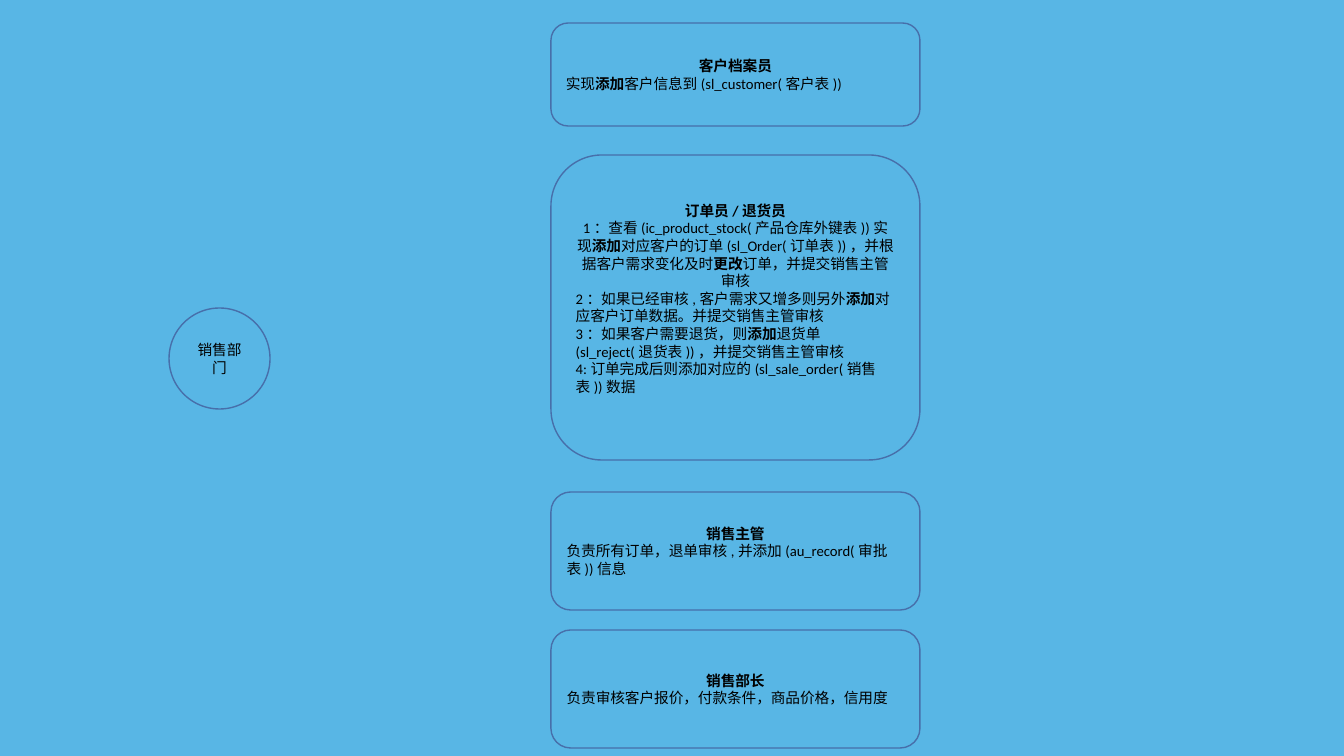
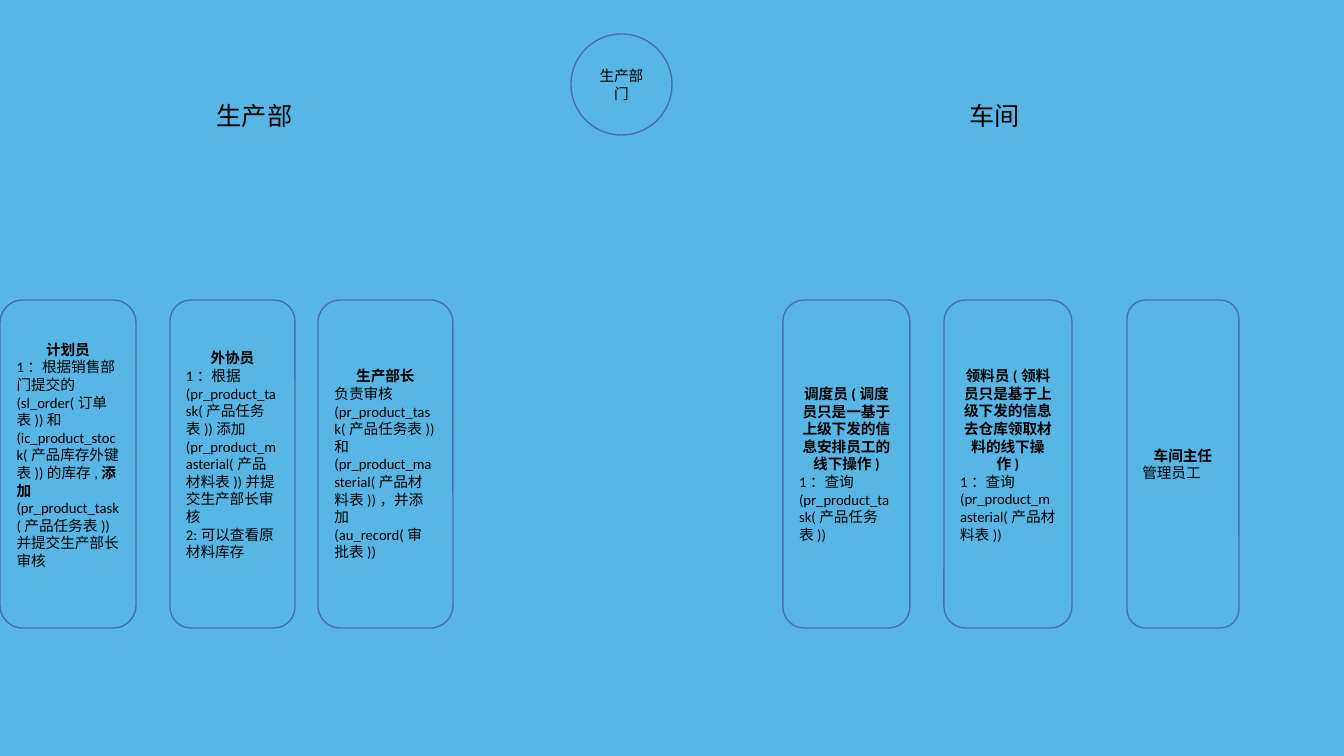
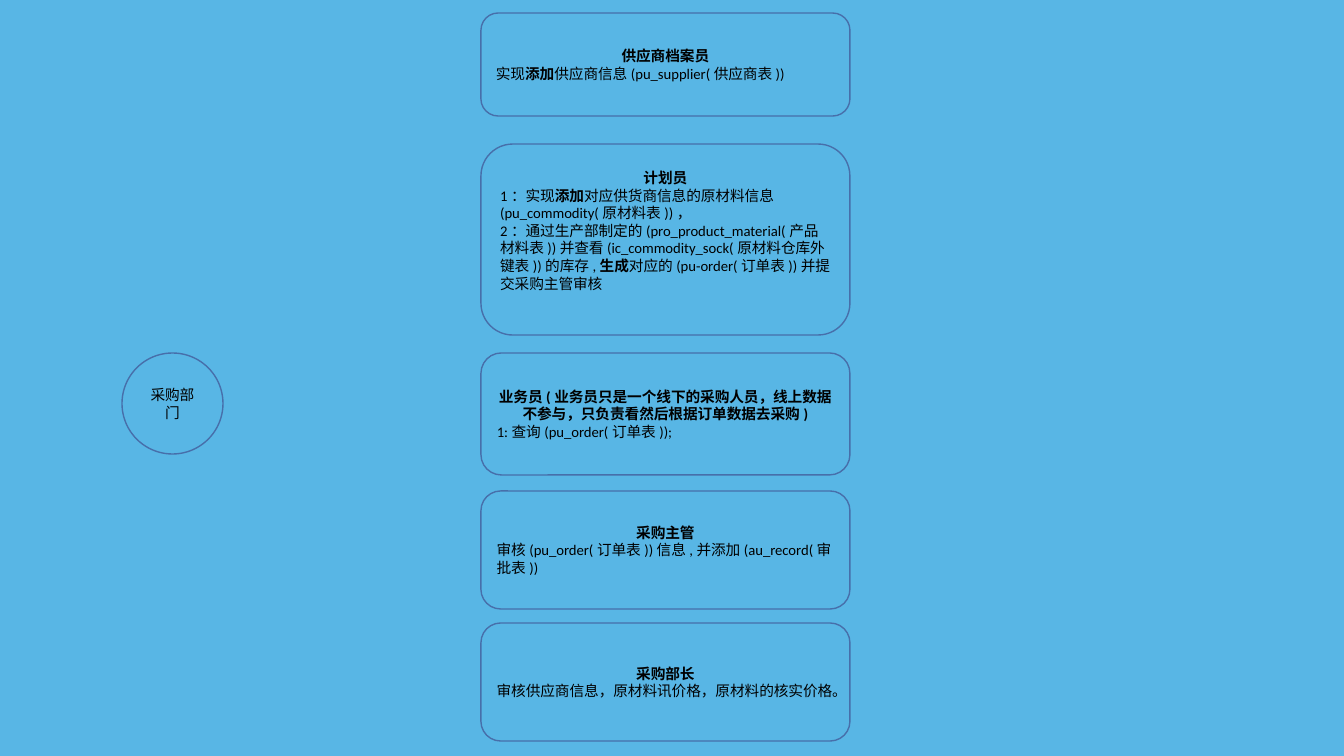
from dataclasses import dataclass, field

from pptx import Presentation
from pptx.dml.color import RGBColor
from pptx.enum.shapes import MSO_SHAPE as Geo
from pptx.enum.text import MSO_ANCHOR as Anchor, MSO_AUTO_SIZE as AutoSize, PP_ALIGN as Align
from pptx.util import Emu, Pt

SLIDE_W, SLIDE_H = 1344, 756
EMU_PER_PX = 12192000 / SLIDE_W


@dataclass(frozen=True)
class Theme:
    back: RGBColor = RGBColor(0x58, 0xB6, 0xE5)
    outline: RGBColor = RGBColor(0x47, 0x6F, 0xAA)
    ink: RGBColor = RGBColor(0, 0, 0)
    line_width: Pt = Pt(1)
    body: dict = field(default_factory=lambda: {"name": "Calibri", "size": Pt(10.5)})
    heading: dict = field(default_factory=lambda: {"name": "Arial", "size": Pt(18)})
    circle: int = 101
    inset: int = 5
    tail: int = 18


@dataclass(frozen=True)
class Box:
    x: int
    y: int
    w: int
    h: int


@dataclass(frozen=True)
class Role:
    start: int
    size: int
    title: str
    body: tuple
    centred: int = 0
    tail: bool = False


@dataclass(frozen=True)
class Heading:
    x: int
    text: str


@dataclass(frozen=True)
class Department:
    name: str
    x: int
    y: int
    roles: tuple
    cross: int
    depth: int
    stacked: bool = True
    headings: tuple = ()


THEME = Theme()

SALES = Department("销售部门", 169, 308, cross=551, depth=369, roles=(
    Role(23, 103, "客户档案员", ("实现*添加*客户信息到(sl_customer(客户表))",)),
    Role(155, 305, "订单员/退货员", (
        "1：查看(ic_product_stock(产品仓库外键表))实现*添加*对应客户的订单(sl_Order(订单表))，"
        "并根据客户需求变化及时*更改*订单，并提交销售主管审核",
        "2：如果已经审核,客户需求又增多则另外*添加*对应客户订单数据。并提交销售主管审核",
        "3：如果客户需要退货，则*添加*退货单(sl_reject(退货表))，并提交销售主管审核",
        "4:订单完成后则添加对应的(sl_sale_order(销售表))数据",
    ), centred=1, tail=True),
    Role(492, 118, "销售主管", ("负责所有订单，退单审核,并添加(au_record(审批表))信息",)),
    Role(630, 118, "销售部长", ("负责审核客户报价，付款条件，商品价格，信用度",)),
))

PRODUCTION = Department(
    "生产部门", 571, 34, cross=300, depth=328, stacked=False,
    headings=(Heading(170, "生产部"), Heading(910, "车间")),
    roles=(
        Role(0, 136, "计划员", (
            "1：根据销售部门提交的(sl_order(订单表))和(ic_product_stock(产品库存外键表))的库存,"
            "*添加*(pr_product_task(产品任务表))并提交生产部长审核",
        ), tail=True),
        Role(170, 125, "外协员", (
            "1：根据(pr_product_task(产品任务表))添加"
            "(pr_product_masterial(产品材料表))并提交生产部长审核",
            "2:可以查看原材料库存",
        ), tail=True),
        Role(318, 135, "生产部长", (
            "负责审核(pr_product_task(产品任务表))和"
            "(pr_product_masterial(产品材料表))，并添加(au_record(审批表))",
        )),
        Role(783, 127, "调度员(调度员只是一基于上级下发的信息安排员工的线下操作)",
             ("1：查询(pr_product_task(产品任务表))",)),
        Role(944, 128, "领料员(领料员只是基于上级下发的信息去仓库领取材料的线下操作)",
             ("1：查询(pr_product_masterial(产品材料表))",), tail=True),
        Role(1127, 112, "车间主任", ("管理员工",)),
    ))

PURCHASING = Department("采购部门", 122, 353, cross=481, depth=369, roles=(
    Role(13, 103, "供应商档案员", ("实现*添加*供应商信息(pu_supplier(供应商表))",)),
    Role(144, 191, "计划员", (
        "1：实现*添加*对应供货商信息的原材料信息(pu_commodity(原材料表))，",
        "2：通过生产部制定的(pro_product_material(产品材料表))并查看"
        "(ic_commodity_sock(原材料仓库外键表))的库存,"
        "*生成*对应的(pu-order(订单表))并提交采购主管审核",
    ), tail=True),
    Role(353, 122,
         "业务员(业务员只是一个线下的采购人员，线上数据不参与，只负责看然后根据订单数据去采购)",
         ("1:查询(pu_order(订单表));",)),
    Role(491, 118, "采购主管", ("审核(pu_order(订单表))信息,并添加(au_record(审批表))",)),
    Role(623, 118, "采购部长", ("审核供应商信息，原材料讯价格，原材料的核实价格。",)),
))


def px(n: int) -> Emu:
    return Emu(round(n * EMU_PER_PX))


def place(box: Box) -> tuple:
    return px(box.x), px(box.y), px(box.w), px(box.h)


def write(p, text: str, align: Align, style: dict) -> None:
    p.alignment = align
    for i, part in enumerate(text.split("*")):
        if part:
            r = p.add_run()
            r.text = part
            for key, value in {"bold": i % 2 == 1, **style}.items():
                setattr(r.font, key, value)
            r.font.color.rgb = THEME.ink


def add_outline(s, geo: Geo, box: Box):
    sp = s.shapes.add_shape(geo, *place(box))
    sp.shadow.inherit = False
    sp.fill.background()
    sp.line.color.rgb = THEME.outline
    sp.line.width = THEME.line_width
    tf = sp.text_frame
    for key, value in {"word_wrap": True, "vertical_anchor": Anchor.MIDDLE}.items():
        setattr(tf, key, value)
    return tf


def add_role(s, role: Role, box: Box) -> None:
    tf = add_outline(s, Geo.ROUNDED_RECTANGLE, box)
    if role.tail:
        tf.margin_bottom = px(THEME.inset + THEME.tail)
    write(tf.paragraphs[0], f"*{role.title}*", Align.CENTER, THEME.body)
    for i, text in enumerate(role.body):
        align = Align.CENTER if i < role.centred else Align.LEFT
        write(tf.add_paragraph(), text, align, THEME.body)


def add_heading(s, heading: Heading) -> None:
    tf = s.shapes.add_textbox(*place(Box(heading.x, 95, 169, 40))).text_frame
    for key, value in {"word_wrap": True, "auto_size": AutoSize.SHAPE_TO_FIT_TEXT}.items():
        setattr(tf, key, value)
    write(tf.paragraphs[0], heading.text, Align.CENTER, THEME.heading)


def add_department(prs, dept: Department) -> None:
    s = prs.slides.add_slide(prs.slide_layouts[6])
    circle = Box(dept.x, dept.y, THEME.circle, THEME.circle)
    tf = add_outline(s, Geo.OVAL, circle)
    write(tf.paragraphs[0], dept.name, Align.CENTER, THEME.body)
    for heading in dept.headings:
        add_heading(s, heading)
    for role in dept.roles:
        if dept.stacked:
            box = Box(dept.cross, role.start, dept.depth, role.size)
        else:
            box = Box(role.start, dept.cross, role.size, dept.depth)
        add_role(s, role, box)


def main() -> None:
    prs = Presentation()
    prs.slide_width, prs.slide_height = px(SLIDE_W), px(SLIDE_H)
    fill = prs.slide_master.background.fill
    fill.solid()
    fill.fore_color.rgb = THEME.back
    for dept in (SALES, PRODUCTION, PURCHASING):
        add_department(prs, dept)
    prs.save("out.pptx")


if __name__ == "__main__":
    main()
